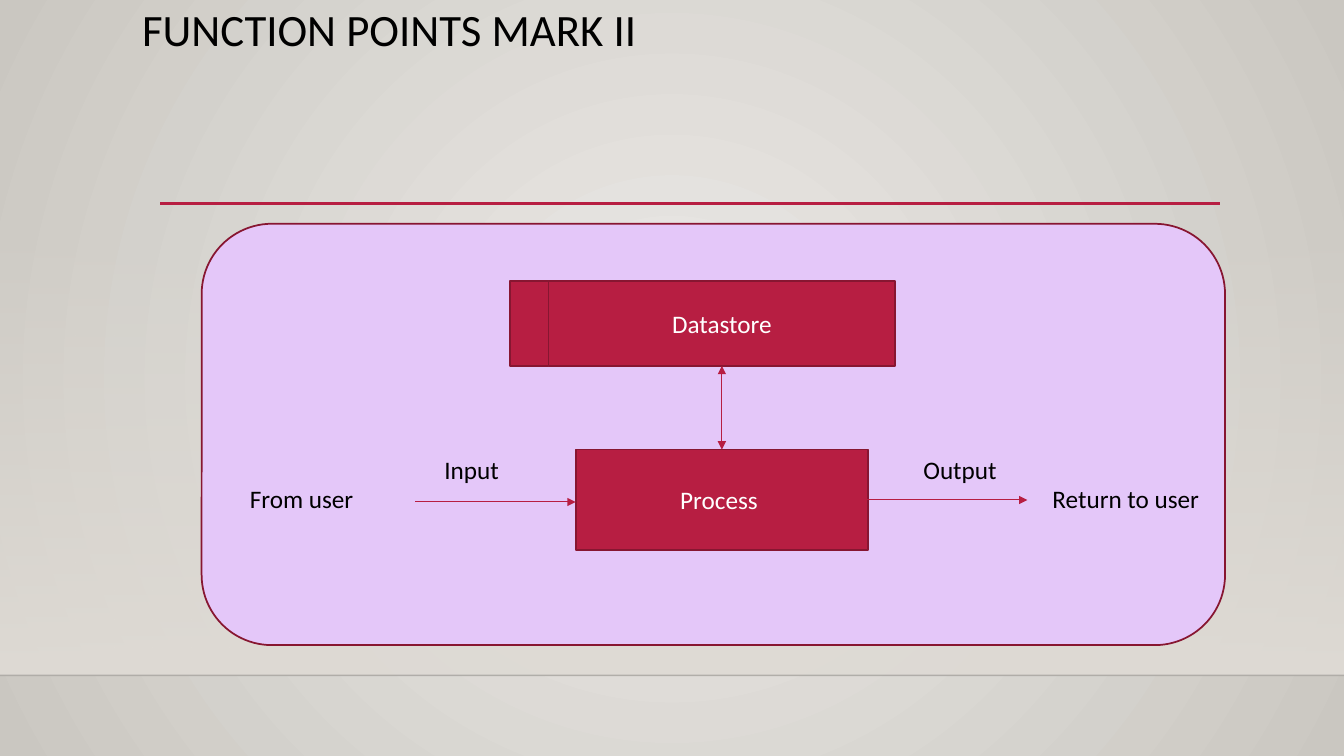
"""Build the Function Points Mark II slide with its process diagram."""
from lxml.etree import SubElement
from pptx import Presentation
from pptx.dml.color import RGBColor
from pptx.enum.shapes import MSO_CONNECTOR, MSO_SHAPE
from pptx.enum.text import MSO_ANCHOR, MSO_AUTO_SIZE, PP_ALIGN
from pptx.oxml.ns import qn
from pptx.util import Inches, Pt

BLACK = RGBColor(0x00, 0x00, 0x00)
WHITE = RGBColor(0xFF, 0xFF, 0xFF)
RED = RGBColor(0xB7, 0x1E, 0x42)
DARK = RGBColor(0x87, 0x16, 0x31)
LILAC = RGBColor(0xE4, 0xC7, 0xF9)
SAND = RGBColor(0xDF, 0xDB, 0xD5)
PALE = RGBColor(0xEC, 0xEA, 0xE7)
GREY = RGBColor(0xCA, 0xC7, 0xC1)


def write(frame, text, size=18, color=BLACK, align=PP_ALIGN.LEFT,
          anchor=MSO_ANCHOR.TOP, fit=MSO_AUTO_SIZE.NONE, space=1.0):
    frame.word_wrap = True
    frame.auto_size = fit
    frame.vertical_anchor = anchor
    para = frame.paragraphs[0]
    para.alignment = align
    para.line_spacing = space
    run = para.add_run()
    run.text = text
    run.font.name = "Calibri"
    run.font.size = Pt(size)
    run.font.color.rgb = color


def draw(start, end, color=RED, width=0.75, tips=()):
    line = slide.shapes.add_connector(
        MSO_CONNECTOR.STRAIGHT, *[Inches(v) for v in start + end])
    line.line.color.rgb = color
    line.line.width = Pt(width)
    props = line.element.spPr
    for tip in tips:
        SubElement(props.find(qn("a:ln")), qn(tip), type="triangle")
    SubElement(props, qn("a:effectLst"))
    return line


deck = Presentation()
deck.slide_width = Inches(13.33)
deck.slide_height = Inches(7.5)
slide = deck.slides.add_slide(deck.slide_layouts[5])

back = slide.background.fill
back.gradient()
for stop, color in zip(back.gradient_stops, (PALE, GREY)):
    stop.color.rgb = color
grad = next(slide.element.iter(qn("a:gradFill")))
grad.remove(grad.find(qn("a:lin")))
focus = SubElement(grad, qn("a:path"), path="circle")
SubElement(focus, qn("a:fillToRect"), l="50000", t="50000", r="50000", b="50000")

wall = slide.shapes.add_shape(
    MSO_SHAPE.RECTANGLE, 0, Inches(2.21), Inches(13.33), Inches(4.49))
wall.shadow.inherit = False
wall.line.fill.background()
wall.fill.gradient()
wall.fill.gradient_angle = 270
for stop in wall.fill.gradient_stops:
    stop.color.rgb = SAND
SubElement(next(wall.element.iter(qn("a:srgbClr"))), qn("a:alpha"), val="0")

floor = draw((0, 6.7), (13.33, 6.7), color=BLACK, width=1)
SubElement(next(floor.element.iter(qn("a:srgbClr"))), qn("a:alpha"), val="20000")
draw((1.59, 2.02), (12.1, 2.02), width=2.5)

title = slide.shapes.title
title.left, title.top = Inches(1.31), Inches(0)
title.width, title.height = Inches(10.5), Inches(0.63)
write(title.text_frame, "FUNCTION POINTS MARK II", size=32,
      anchor=MSO_ANCHOR.MIDDLE, space=0.9)

for kind, box, fill, text in (
    (MSO_SHAPE.ROUNDED_RECTANGLE, (2, 2.22, 10.15, 4.18), LILAC, ""),
    (MSO_SHAPE.RECTANGLE, (5.44, 2.79, 3.44, 0.84), RED, "Datastore"),
    (MSO_SHAPE.RECTANGLE, (5.06, 2.79, 0.38, 0.84), RED, ""),
    (MSO_SHAPE.RECTANGLE, (5.71, 4.46, 2.9, 1), RED, "Process "),
):
    shape = slide.shapes.add_shape(kind, *[Inches(v) for v in box])
    shape.shadow.inherit = False
    shape.fill.solid()
    shape.fill.fore_color.rgb = fill
    shape.line.color.rgb = DARK
    shape.line.width = Pt(1.25)
    if text:
        write(shape.text_frame, text, color=WHITE, align=PP_ALIGN.CENTER,
              anchor=MSO_ANCHOR.MIDDLE)

draw((4.12, 4.98), (5.71, 4.98), tips=["a:tailEnd"])
draw((8.6, 4.96), (10.19, 4.96), tips=["a:tailEnd"])
draw((7.16, 3.63), (7.16, 4.46), tips=["a:headEnd", "a:tailEnd"])

for text, left, top, width in (
    ("Input", 4.31, 4.46, 1.13),
    ("From user", 2.38, 4.75, 1.47),
    ("Return to user", 10.34, 4.75, 1.81),
    ("Output", 9.06, 4.46, 1.13),
):
    label = slide.shapes.add_textbox(
        Inches(left), Inches(top), Inches(width), Inches(0.4))
    write(label.text_frame, text, fit=MSO_AUTO_SIZE.SHAPE_TO_FIT_TEXT)

deck.save("out.pptx")
